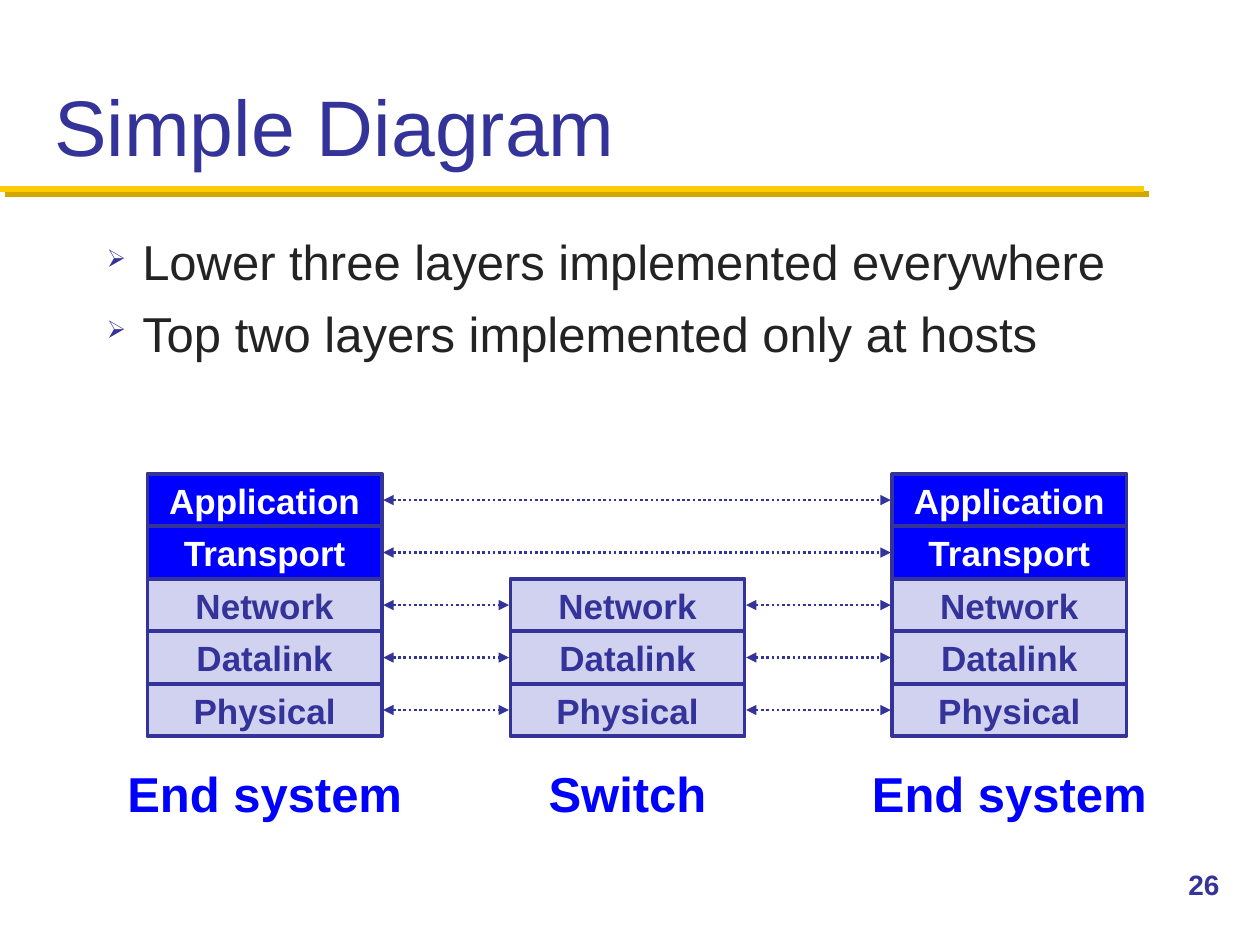
from lxml import etree
from pptx import Presentation
from pptx.dml.color import RGBColor
from pptx.enum.dml import MSO_LINE
from pptx.enum.shapes import MSO_CONNECTOR, MSO_SHAPE
from pptx.enum.text import MSO_ANCHOR, PP_ALIGN
from pptx.oxml.ns import qn
from pptx.util import Pt

LEFT, CENTER = PP_ALIGN.LEFT, PP_ALIGN.CENTER
TOP, MIDDLE, BOTTOM = MSO_ANCHOR.TOP, MSO_ANCHOR.MIDDLE, MSO_ANCHOR.BOTTOM
RECT, STRAIGHT = MSO_SHAPE.RECTANGLE, MSO_CONNECTOR.STRAIGHT
DOTTED = MSO_LINE.ROUND_DOT

NAVY, BLUE, PALE, WHITE, INK = "333399", "0000FF", "D1D1F0", "FFFFFF", "232323"
GOLD, DARK_GOLD = "FFCB05", "D3A600"

TITLE = "Simple Diagram"
BULLETS = ["Lower three layers implemented everywhere",
           "Top two layers implemented only at hosts"]
PAGE = "26"
LAYERS = ["Application", "Transport", "Network", "Datalink", "Physical"]
HOST_LAYERS = 2  # the top layers that only end systems have
# caption, left edge, first layer
STACKS = [("End system", 84.25, 0), ("Switch", 291.6, HOST_LAYERS),
          ("End system", 509.75, 0)]
STACK_TOP, ROW_H, BOX_W = 270.75, 30, 134
ARROW_GAP = 0.75
CAPTION_TOP, CAPTION_W, CAPTION_H = 432.75, 174, 41


def rgb(color):
    return RGBColor.from_string(color)


def write(shape, lines, size, color, bold=False, align=LEFT, anchor=TOP,
          bullet=None, before=0):
    tf = shape.text_frame
    tf.word_wrap = True
    tf.vertical_anchor = anchor
    for i, line in enumerate(lines):
        p = tf.paragraphs[0] if i == 0 else tf.add_paragraph()
        p.alignment = align
        if bullet:
            add_bullet(p, bullet)
        if i:
            p.space_before = Pt(before)
        r = p.add_run()
        r.text = line
        r.font.name, r.font.size, r.font.bold = "Arial", Pt(size), bold
        r.font.color.rgb = rgb(color)


def add_bullet(p, char, indent=20.2):
    pPr = p._p.get_or_add_pPr()
    pPr.set("marL", str(Pt(indent)))
    pPr.set("indent", str(-Pt(indent)))
    clr = etree.SubElement(pPr, qn("a:buClr"))
    etree.SubElement(clr, qn("a:srgbClr"), val=NAVY)
    etree.SubElement(pPr, qn("a:buSzPct"), val="50000")
    etree.SubElement(pPr, qn("a:buChar"), char=char)


def add_text(s, x, y, w, h, lines, size, color, **fmt):
    box = s.shapes.add_textbox(Pt(x), Pt(y), Pt(w), Pt(h))
    write(box, lines, size, color, **fmt)


def add_line(s, x1, y1, x2, y2, color, width):
    line = s.shapes.add_connector(STRAIGHT, Pt(x1), Pt(y1), Pt(x2), Pt(y2))
    line.line.color.rgb = rgb(color)
    line.line.width = Pt(width)
    etree.SubElement(line._element.spPr, qn("a:effectLst"))
    return line


def add_arrow(s, x1, x2, y):
    """Dotted horizontal line with a head at both ends."""
    line = add_line(s, x1, y, x2, y, NAVY, 1.5).line
    line.dash_style = DOTTED
    ln = line._get_or_add_ln()
    for end in ("a:headEnd", "a:tailEnd"):
        etree.SubElement(ln, qn(end), type="triangle")


def add_layer(s, x, row):
    box = s.shapes.add_shape(RECT, Pt(x), Pt(STACK_TOP + row * ROW_H),
                             Pt(BOX_W), Pt(ROW_H))
    box.shadow.inherit = False
    host = row < HOST_LAYERS
    box.fill.solid()
    box.fill.fore_color.rgb = rgb(BLUE if host else PALE)
    box.line.color.rgb = rgb(NAVY)
    box.line.width = Pt(2)
    write(box, [LAYERS[row]], 20, WHITE if host else NAVY, bold=True,
          align=CENTER, anchor=MIDDLE)


def main():
    prs = Presentation()
    prs.slide_width, prs.slide_height = Pt(720), Pt(540)
    s = prs.slides.add_slide(prs.slide_layouts[6])

    for offset, color in ((3, DARK_GOLD), (0, GOLD)):
        add_line(s, offset, 108 + offset, 653.75 + offset, 108 + offset, color, 3.5)
    add_text(s, 24, 12, 672, 90, [TITLE], 45, NAVY, anchor=BOTTOM)
    add_text(s, 54, 129, 624, 345, BULLETS, 28, INK, bullet="➢", before=7)
    add_text(s, 672, 492, 48, 36, [PAGE], 16, NAVY, bold=True)

    for caption, x, first in STACKS:
        for row in range(first, len(LAYERS)):
            add_layer(s, x, row)
        add_text(s, x + (BOX_W - CAPTION_W) / 2, CAPTION_TOP, CAPTION_W, CAPTION_H,
                 [caption], 28, BLUE, bold=True, align=CENTER)

    # each layer is joined to the next stack that has it
    for row in range(len(LAYERS)):
        lefts = [x for _, x, first in STACKS if row >= first]
        for x, next_x in zip(lefts, lefts[1:]):
            add_arrow(s, x + BOX_W + ARROW_GAP, next_x - ARROW_GAP,
                      STACK_TOP + (row + 0.5) * ROW_H)

    prs.save("out.pptx")


if __name__ == "__main__":
    main()
